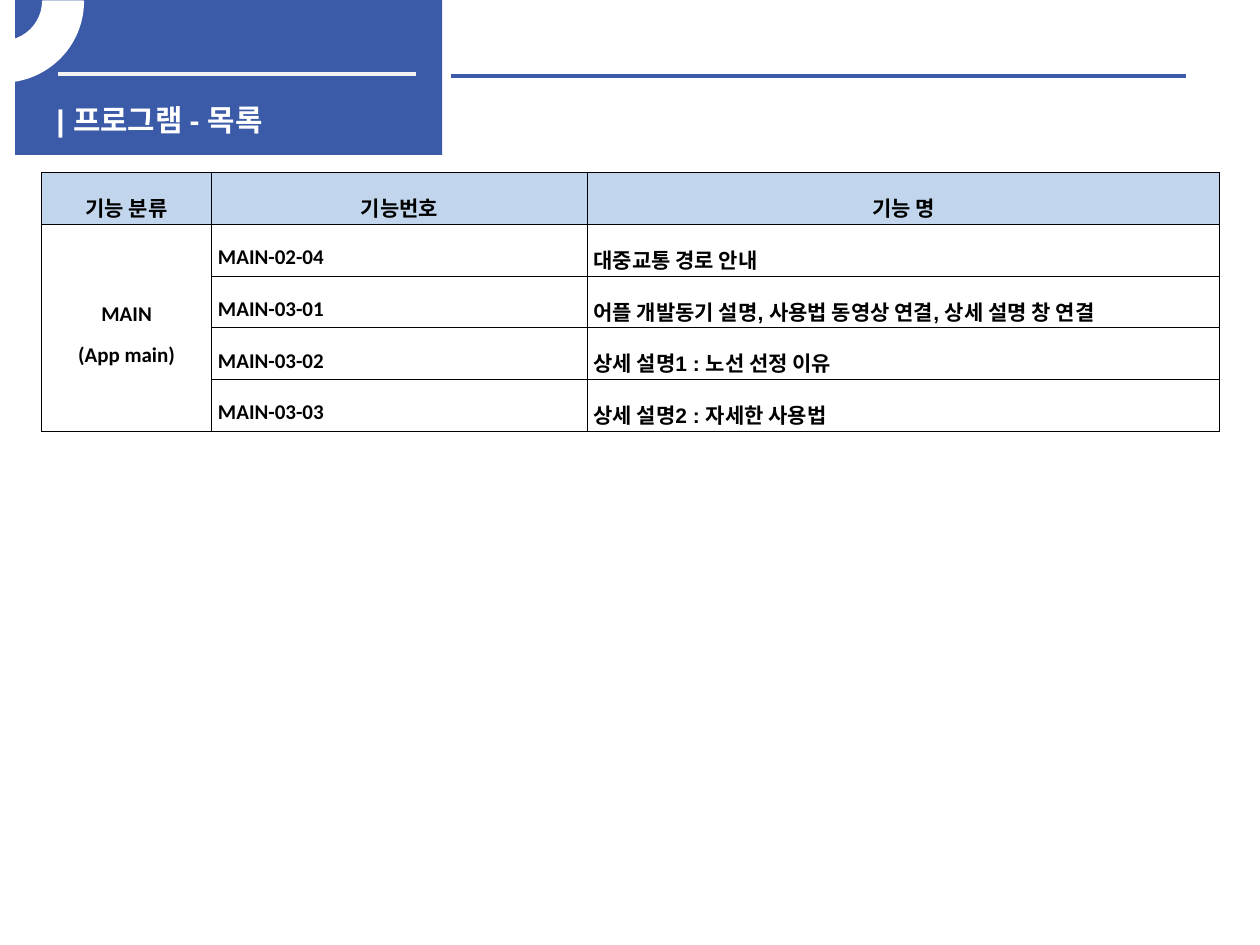
import pptx
import pptx.util
import pptx.dml.color
import pptx.enum.shapes
import pptx.enum.text
import pptx.oxml
import pptx.oxml.ns
from lxml import etree

# Content
TITLE = "| 프로그램 - 목록"
HEADERS = ["기능 분류", "기능번호", "기능 명"]
CATEGORY = ["MAIN", "(App main)"]
FUNCTIONS = [
    ("MAIN-02-04", "대중교통 경로 안내"),
    ("MAIN-03-01", "어플 개발동기 설명, 사용법 동영상 연결, 상세 설명 창 연결"),
    ("MAIN-03-02", "상세 설명1 : 노선 선정 이유"),
    ("MAIN-03-03", "상세 설명2 : 자세한 사용법"),
]

THEME = {
    "blue": "3B5AA8", "pale": "F2F2F2", "white": "FFFFFF", "black": "000000",
    "header": "C1D6ED", "title_font": "Arial", "code_font": "Calibri",
    "title_size": 17, "table_size": 12, "rule": 2.25, "border": 0.28,
}

# Grid, in inches
SLIDE = (10, 7.5)
BANNER = (0.12, 0, 3.39, 1.23)
TITLE_BOX = (0.35, 0.76, 3.07, 0.32)
RING = (-0.63, -0.63, 1.29, 1.28)
RULES = [(0.46, 3.3, 0.59, "pale"), (3.58, 9.41, 0.6, "blue")]
TABLE_LEFT, TABLE_TOP = 0.33, 1.37
COLUMNS = [1.35, 2.98, 5.02]
ROW_HEIGHT = 0.41

ALIGN = pptx.enum.text.PP_ALIGN
SHAPE = pptx.enum.shapes.MSO_SHAPE


def inches(values):
    return [pptx.util.Inches(value) for value in values]


def color(name):
    return pptx.dml.color.RGBColor.from_string(THEME[name])


def style(paragraph, font, size, tint):
    paragraph.font.name = THEME[font]
    paragraph.font.size = pptx.util.Pt(THEME[size])
    paragraph.font.bold = True
    paragraph.font.color.rgb = color(tint)


def add_filled(page, kind, place, tint):
    shape = page.shapes.add_shape(kind, *inches(place))
    shape.shadow.inherit = False
    shape.fill.solid()
    shape.fill.fore_color.rgb = color(tint)
    shape.line.fill.background()
    return shape


def add_rule(page, start, end, height, tint):
    rule = page.shapes.add_connector(
        pptx.enum.shapes.MSO_CONNECTOR.STRAIGHT, *inches((start, height, end, height)))
    rule.line.color.rgb = color(tint)
    rule.line.width = pptx.util.Pt(THEME["rule"])
    etree.SubElement(rule._element.spPr, pptx.oxml.ns.qn("a:effectLst"))


def add_borders(cell):
    properties = cell._tc.get_or_add_tcPr()
    width = pptx.util.Pt(THEME["border"])
    for index, side in enumerate(("lnL", "lnR", "lnT", "lnB")):
        properties.insert(index, pptx.oxml.parse_xml(
            f'<a:{side} {pptx.oxml.ns.nsdecls("a")} w="{width}"><a:solidFill>'
            f'<a:srgbClr val="{THEME["black"]}"/></a:solidFill></a:{side}>'))


def fill_cell(cell, lines, font, align, tint=None):
    cell.vertical_anchor = pptx.enum.text.MSO_ANCHOR.MIDDLE
    cell.margin_left = cell.margin_right = pptx.util.Inches(0.05)
    cell.margin_top = cell.margin_bottom = pptx.util.Inches(0.01)
    cell.text = "\n".join(lines)
    for paragraph in cell.text_frame.paragraphs:
        paragraph.alignment = align
        paragraph.line_spacing = 1.6
        style(paragraph, font, "table_size", "black")
    if tint:
        cell.fill.solid()
        cell.fill.fore_color.rgb = color(tint)
    else:
        cell.fill.background()


def add_banner(page):
    add_filled(page, SHAPE.RECTANGLE, BANNER, "blue")
    for rule in RULES:
        add_rule(page, *rule)

    box = page.shapes.add_textbox(*inches(TITLE_BOX))
    box.text_frame.word_wrap = True
    box.text_frame.text = TITLE
    style(box.text_frame.paragraphs[0], "title_font", "title_size", "white")

    # Corner ring: angles are stored in 60000ths of a degree
    ring = add_filled(page, SHAPE.BLOCK_ARC, RING, "white")
    ring.line.color.rgb = color("white")
    ring.line.width = pptx.util.Pt(1)
    ring.adjustments[0] = 161.587 * 60000 / 100000
    ring.adjustments[1] = 0
    ring.adjustments[2] = 0.25
    ring._element.spPr.xfrm.set("flipV", "1")


def add_function_table(page):
    rows = len(FUNCTIONS) + 1
    place = (TABLE_LEFT, TABLE_TOP, sum(COLUMNS), rows * ROW_HEIGHT)
    table = page.shapes.add_table(rows, len(COLUMNS), *inches(place)).table
    table.horz_banding = False
    for column, width in zip(table.columns, inches(COLUMNS)):
        column.width = width
    for row in table.rows:
        row.height = pptx.util.Inches(ROW_HEIGHT)

    for index, header in enumerate(HEADERS):
        fill_cell(table.cell(0, index), [header], "code_font", ALIGN.CENTER, "header")
    for index, (code, name) in enumerate(FUNCTIONS, 1):
        fill_cell(table.cell(index, 0), CATEGORY if index == 1 else [],
                  "code_font", ALIGN.CENTER)
        fill_cell(table.cell(index, 1), [code], "code_font", ALIGN.JUSTIFY)
        fill_cell(table.cell(index, 2), [name], "title_font", ALIGN.JUSTIFY)
    table.cell(1, 0).merge(table.cell(rows - 1, 0))
    for cell in table.iter_cells():
        add_borders(cell)


def main():
    deck = pptx.Presentation()
    deck.slide_width, deck.slide_height = inches(SLIDE)
    page = deck.slides.add_slide(deck.slide_layouts[6])
    add_banner(page)
    add_function_table(page)
    deck.save("out.pptx")


if __name__ == "__main__":
    main()
